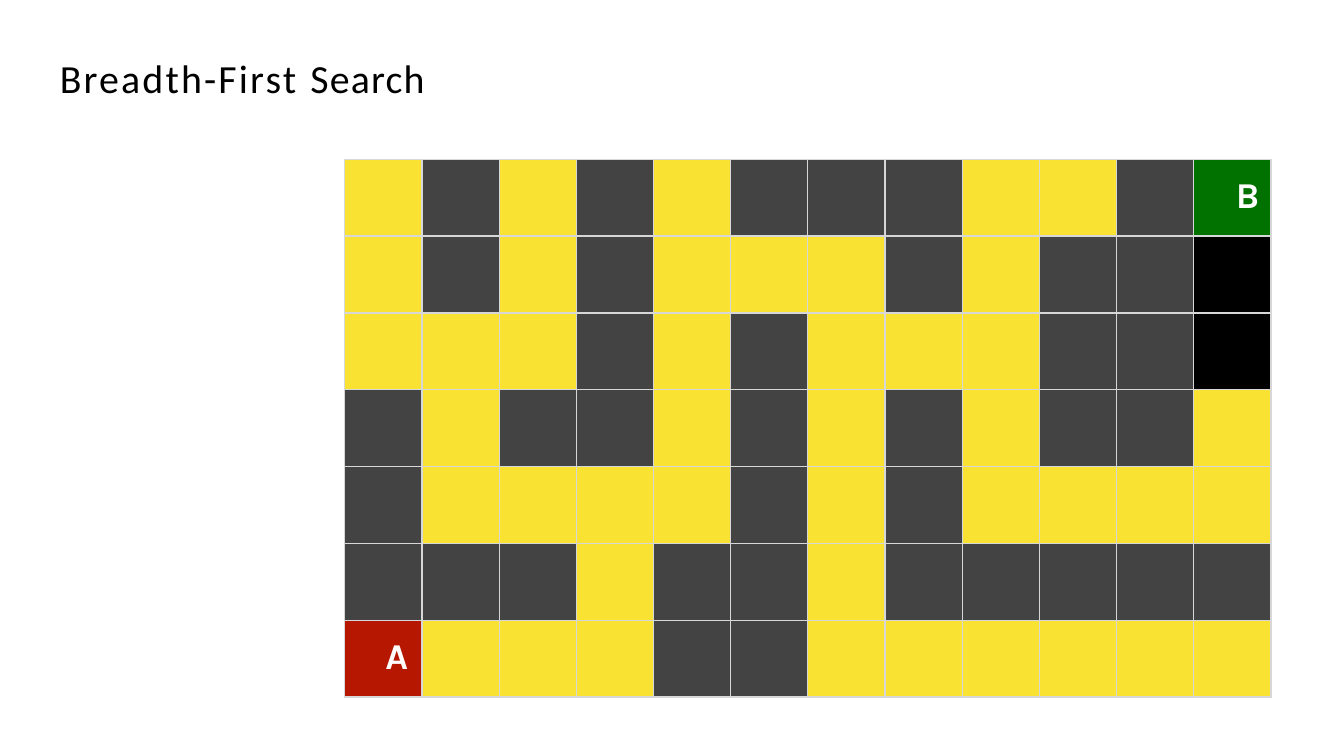
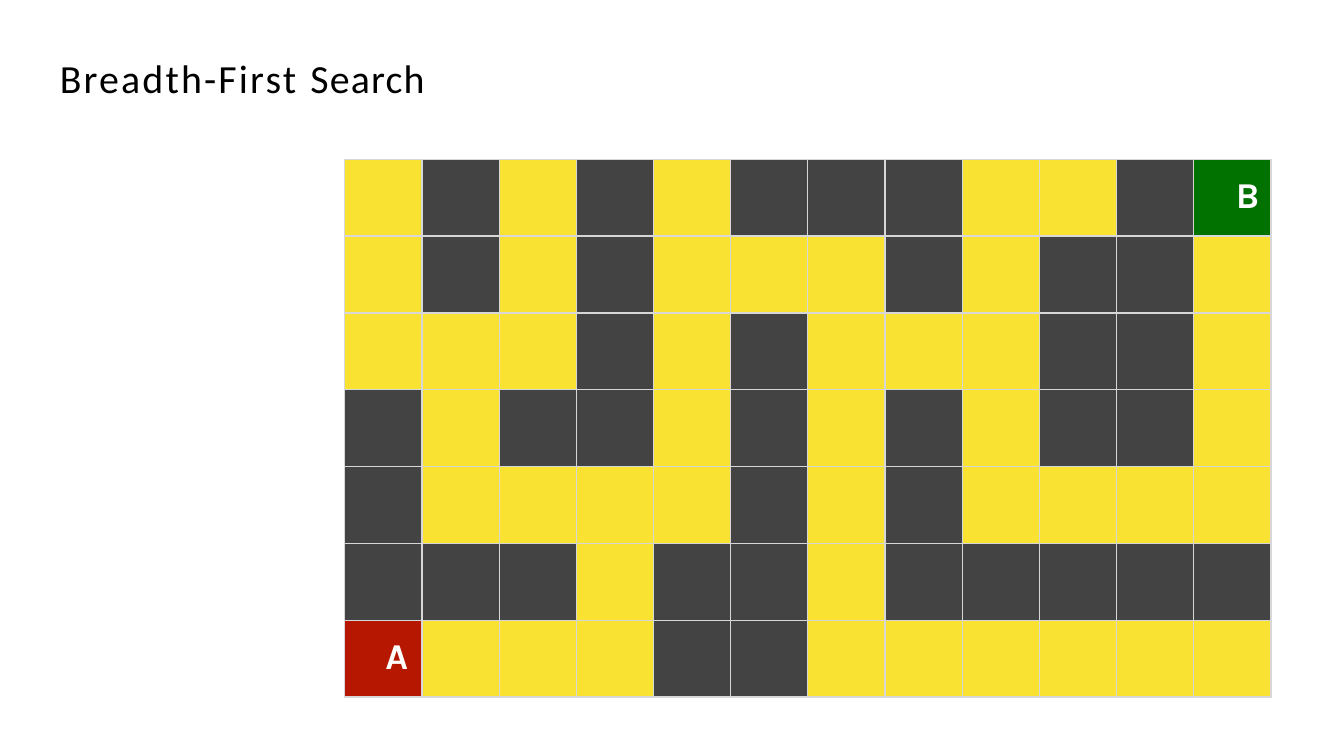
"""Two steps of a breadth-first search through a maze."""
from lxml import etree
from pptx import Presentation
from pptx.dml.color import RGBColor
from pptx.enum import text
from pptx.oxml.ns import qn
from pptx.util import Pt

TITLE = [("Breadth-First ", 1.6), ("Search", 0.9)]
MAZE = [
    ".#.#.###..#B",
    ".#.#...#.##.",
    "...#.#...##.",
    "#.##.#.#.##.",
    "#....#.#....",
    "###.##.#####",
    "A...##......",
]
UNEXPLORED = [{(1, 11), (2, 11)}, set()]

BLACK = RGBColor(0x00, 0x00, 0x00)
WHITE = RGBColor(0xFF, 0xFF, 0xFF)
GRID = RGBColor(0xD6, 0xD7, 0xD6)
FILLS = {
    ".": RGBColor(0xFA, 0xE2, 0x32),
    "#": RGBColor(0x43, 0x43, 0x43),
    "A": RGBColor(0xB5, 0x17, 0x00),
    "B": RGBColor(0x01, 0x71, 0x00),
}
LABELS = {"A": (29, 11), "B": (30, 11.5)}

LEFT, TOP = 246.25, 113.75
CELL_W, CELL_H = 55.15, 54.9


def add_run(p, words, font, size, color, bold=False):
    r = p.add_run()
    r.text = words
    r.font.name, r.font.size, r.font.bold = font, Pt(size), bold
    r.font.color.rgb = color
    return r


def add_title(s):
    sp = s.shapes.add_textbox(Pt(41.75), Pt(37.5), Pt(291.5), Pt(35.25))
    tf = sp.text_frame
    tf.word_wrap = True
    tf.auto_size = text.MSO_AUTO_SIZE.SHAPE_TO_FIT_TEXT
    tf.vertical_anchor = text.MSO_ANCHOR.MIDDLE
    tf.margin_left = tf.margin_right = tf.margin_bottom = 0
    tf.margin_top = Pt(1)
    p = tf.paragraphs[0]
    p._p.get_or_add_pPr().set("marL", str(Pt(1)))
    for words, spacing in TITLE:
        r = add_run(p, words, "Calibri", 28.5, BLACK)
        r.font._element.set("spc", str(round(spacing * 100)))


def add_borders(cell):
    tc_pr = cell._tc.get_or_add_tcPr()
    for i, side in enumerate("LRTB"):
        ln = etree.Element(qn("a:ln" + side), w=str(Pt(1)))
        fill = etree.SubElement(ln, qn("a:solidFill"))
        etree.SubElement(fill, qn("a:srgbClr"), val=str(GRID))
        tc_pr.insert(i, ln)


def add_label(cell, mark):
    indent, top = LABELS[mark]
    cell.margin_left = cell.margin_right = cell.margin_bottom = 0
    cell.margin_top = Pt(top)
    p = cell.text_frame.paragraphs[0]
    p._p.get_or_add_pPr().set("marL", str(Pt(indent)))
    add_run(p, mark, "Karla", 26, WHITE, bold=True)


def add_maze(s, unexplored):
    rows, cols = len(MAZE), len(MAZE[0])
    table = s.shapes.add_table(rows, cols, Pt(LEFT), Pt(TOP),
                               Pt(cols * CELL_W), Pt(rows * CELL_H)).table
    table.first_row = table.horz_banding = False
    for column in table.columns:
        column.width = Pt(CELL_W)
    for y, line in enumerate(MAZE):
        table.rows[y].height = Pt(CELL_H)
        for x, mark in enumerate(line):
            cell = table.cell(y, x)
            cell.fill.solid()
            cell.fill.fore_color.rgb = BLACK if (y, x) in unexplored else FILLS[mark]
            add_borders(cell)
            if mark in LABELS:
                add_label(cell, mark)


def main():
    prs = Presentation()
    prs.slide_width, prs.slide_height = Pt(960), Pt(540)
    for unexplored in UNEXPLORED:
        s = prs.slides.add_slide(prs.slide_layouts[6])
        add_maze(s, unexplored)
        add_title(s)
    prs.save("out.pptx")


if __name__ == "__main__":
    main()
